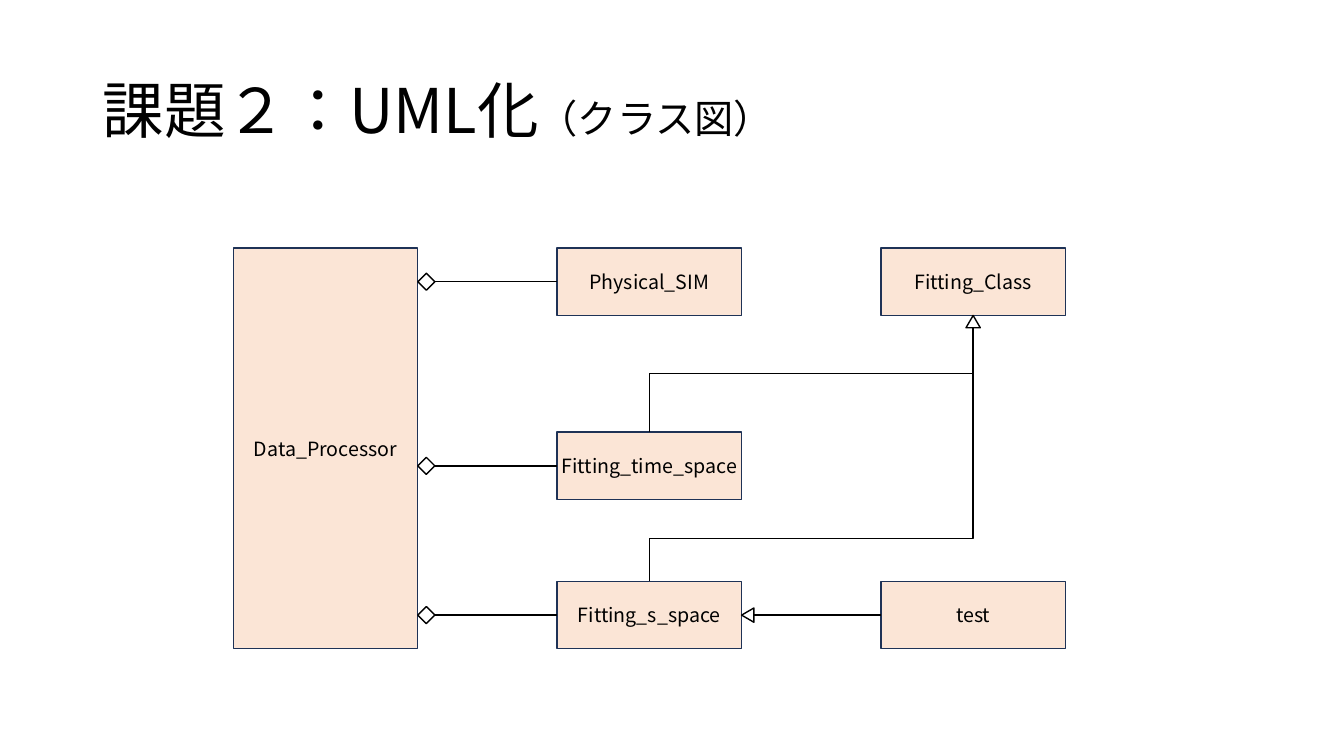
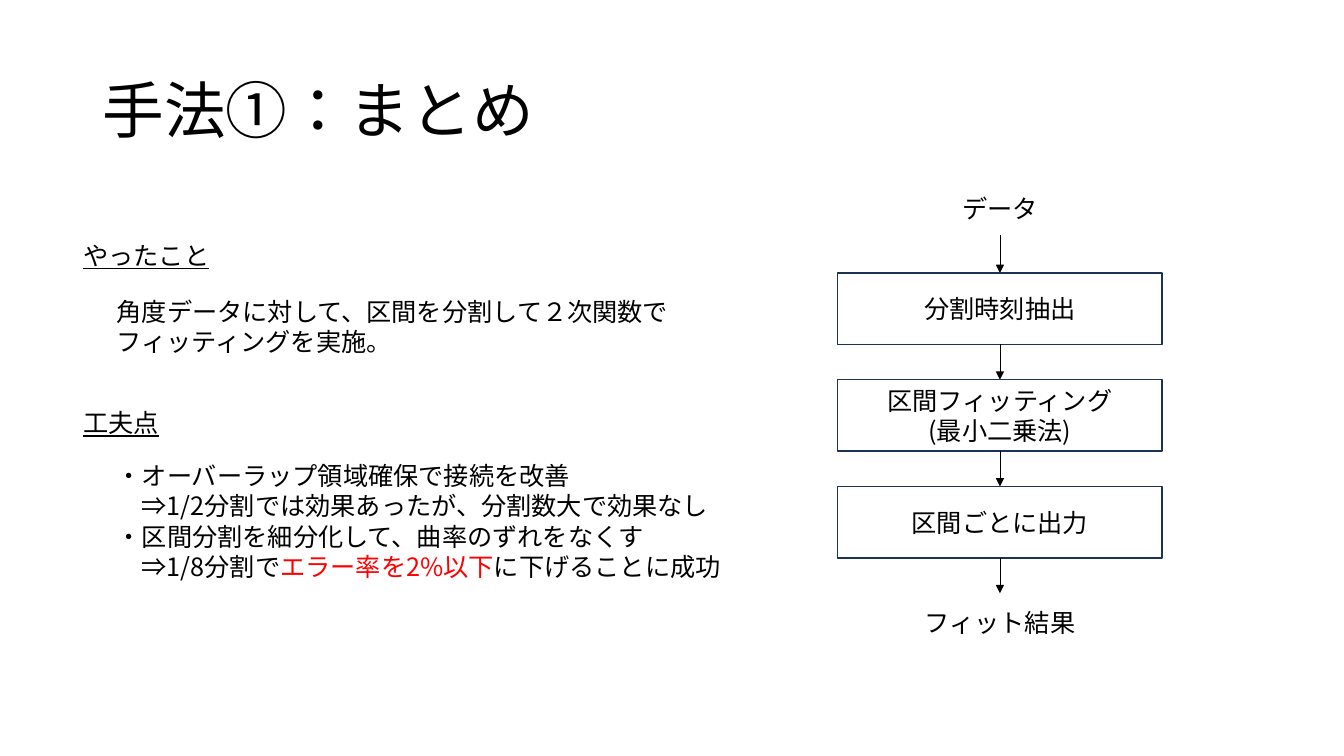
from pptx import Presentation
from pptx.dml.color import RGBColor
from pptx.enum.lang import MSO_LANGUAGE_ID
from pptx.enum.shapes import MSO_CONNECTOR, MSO_SHAPE
from pptx.enum.text import MSO_ANCHOR, MSO_AUTO_SIZE, PP_ALIGN
from pptx.oxml.ns import qn
from pptx.util import Cm, Pt
from lxml import etree

RECT, DIAMOND, TRIANGLE = MSO_SHAPE.RECTANGLE, MSO_SHAPE.DIAMOND, MSO_SHAPE.ISOSCELES_TRIANGLE
STRAIGHT, ELBOW = MSO_CONNECTOR.STRAIGHT, MSO_CONNECTOR.ELBOW
LEFT, CENTER = PP_ALIGN.LEFT, PP_ALIGN.CENTER
MIDDLE, TOP = MSO_ANCHOR.MIDDLE, MSO_ANCHOR.TOP
NO_AUTOFIT = MSO_AUTO_SIZE.NONE
JAPANESE = MSO_LANGUAGE_ID.JAPANESE

FONT = "Noto Sans CJK JP"
COLORS = {"text": "000000", "white": "FFFFFF", "peach": "FBE5D6",
          "border": "1E3256", "accent": "FF0000"}
TITLE_BOX = (2.33, 1.02, 29.21, 3.68)
TITLE_ONLY = 5


def rgb(name):
    return RGBColor.from_string(COLORS[name])


def style_paragraph(p, size, align=LEFT, underline=None):
    p.alignment = align
    p.font.size = Pt(size)
    p.font.name = FONT
    p.font.color.rgb = rgb("text")
    p.font.underline = underline
    p.font.language_id = JAPANESE
    latin = p._p.pPr.find(qn("a:defRPr")).find(qn("a:latin"))
    ea = etree.Element(qn("a:ea"), typeface=FONT)
    latin.addnext(ea)


def add_run(p, text):
    r = p.add_run()
    r.text = text
    r.font.language_id = JAPANESE
    return r


def set_indent(p, left, hanging):
    """Indent the paragraph; a hanging one starts its first line at the margin."""
    pPr = p._p.get_or_add_pPr()
    pPr.set("marL", str(Cm(left)))
    pPr.set("indent", str(-Cm(left) if hanging else 0))


def add_title(prs, text, small=""):
    """Add a slide with its title and an optional smaller ending."""
    s = prs.slides.add_slide(prs.slide_layouts[TITLE_ONLY])
    title = s.shapes.title
    title.left, title.top, title.width, title.height = map(Cm, TITLE_BOX)
    tf = title.text_frame
    tf.auto_size = NO_AUTOFIT
    tf.vertical_anchor = MIDDLE
    p = tf.paragraphs[0]
    p.line_spacing = 0.9
    style_paragraph(p, 44)
    add_run(p, text)
    if small:
        add_run(p, small).font.size = Pt(28)
    return s


def add_shape(s, kind, x, y, w, h, fill="white", line="text"):
    sp = s.shapes.add_shape(kind, Cm(x), Cm(y), Cm(w), Cm(h))
    sp.shadow.inherit = False
    sp.fill.solid()
    sp.fill.fore_color.rgb = rgb(fill)
    sp.line.color.rgb = rgb(line)
    sp.line.width = Pt(1)
    return sp


def add_box(s, x, y, w, h, lines, size, fill="white", wrap=True):
    sp = add_shape(s, RECT, x, y, w, h, fill, "border")
    tf = sp.text_frame
    tf.word_wrap = wrap
    tf.vertical_anchor = MIDDLE
    tf.text = lines
    for p in tf.paragraphs:
        style_paragraph(p, size, CENTER)


def add_text(s, x, y, w, h, text, align=LEFT, underline=None):
    tf = s.shapes.add_textbox(Cm(x), Cm(y), Cm(w), Cm(h)).text_frame
    tf.word_wrap = True
    tf.vertical_anchor = TOP
    p = tf.paragraphs[0]
    style_paragraph(p, 18, align, underline)
    add_run(p, text)


def add_line(s, x1, y1, x2, y2, width=1, kind=STRAIGHT, arrow=False):
    c = s.shapes.add_connector(kind, Cm(x1), Cm(y1), Cm(x2), Cm(y2))
    c.line.color.rgb = rgb("text")
    c.line.width = Pt(width)
    if arrow:
        etree.SubElement(c.line._get_or_add_ln(), qn("a:tailEnd"), type="triangle")
    etree.SubElement(c._element.spPr, qn("a:effectLst"))
    return c


def add_vertical_elbow(s, x1, y1, x2, y2, bend):
    """Elbow that leaves downwards and turns at the fraction bend of its height."""
    cx, cy = (x1 + x2) / 2, (y1 + y2) / 2
    half_w, half_h = (x1 - x2) / 2, (y2 - y1) / 2
    c = add_line(s, cx - half_h, cy - half_w, cx + half_h, cy + half_w, kind=ELBOW)
    spPr = c._element.spPr
    spPr.find(qn("a:xfrm")).set("rot", str(90 * 60000))
    geom = spPr.find(qn("a:prstGeom"))
    av = geom.find(qn("a:avLst"))
    if av is None:
        av = etree.SubElement(geom, qn("a:avLst"))
    etree.SubElement(av, qn("a:gd"), name="adj1", fmla=f"val {round(bend * 100000)}")


def class_diagram(s, x, y):
    box_w, box_h, step = 4.65, 1.7, 8.16
    col = [x + i * step for i in range(3)]
    row = [y, y + 4.64, y + 8.4]
    classes = [
        ("Data_Processor", 0, 0, row[2] + box_h - y),
        ("Physical_SIM", 1, 0, box_h),
        ("Fitting_Class", 2, 0, box_h),
        ("Fitting_time_space", 1, 1, box_h),
        ("Fitting_s_space", 1, 2, box_h),
        ("test", 2, 2, box_h),
    ]
    for name, c, r, h in classes:
        add_box(s, col[c], row[r], box_w, h, name, 14, "peach", wrap=False)

    # Inheritance
    tri_w, tri_h = 0.36, 0.31
    base_x, base_y = col[2] + box_w / 2, y + box_h
    for r, bend in ((1, 0.5), (2, 0.84)):
        add_vertical_elbow(s, base_x, base_y, col[1] + box_w / 2, row[r], bend)
    add_shape(s, TRIANGLE, base_x - tri_w / 2, base_y, tri_w, tri_h)
    right, mid = col[1] + box_w, row[2] + box_h / 2
    add_line(s, right, mid, col[2], mid)
    tip = add_shape(s, TRIANGLE, right + (tri_h - tri_w) / 2, mid - tri_h / 2, tri_w, tri_h)
    tip.rotation = 270

    # Aggregation
    dia, edge = 0.43, col[0] + box_w
    for top in row:
        mid = top + box_h / 2
        add_line(s, edge, mid, col[1], mid)
        add_shape(s, DIAMOND, edge, mid - dia / 2, dia, dia)


def flow_chart(s, x, y, steps, source, result):
    w, h, gap, label_w, label_h = 8.18, 1.8, 0.89, 7.7, 1.02
    cx = x + w / 2
    first = y + 2.13
    add_text(s, cx - label_w / 2, y, label_w, label_h, source, CENTER)
    add_line(s, cx, first - 0.96, cx, first, 0.5, arrow=True)
    for i, step in enumerate(steps):
        top = first + i * (h + gap)
        add_box(s, x, top, w, h, step, 18)
        add_line(s, cx, top + h, cx, top + h + gap, 0.5, arrow=True)
    end = first + len(steps) * (h + gap)
    add_text(s, cx - label_w / 2, end + 0.24, label_w, label_h, result, CENTER)


def summary_text(s, x, y):
    indent = 0.84
    add_text(s, x, y, 5.77, 1.02, "やったこと", underline=True)
    add_text(s, x + indent, y + 1.42, 14.88, 1.8,
             "角度データに対して、区間を分割して２次関数でフィッティングを実施。")
    add_text(s, x, y + 4.21, 5.77, 1.02, "工夫点", underline=True)
    points = [
        [("・オーバーラップ領域確保で接続を改善", None)],
        [("⇒1/2分割では効果あったが、分割数大で効果なし", None)],
        [("・区間分割を細分化して、曲率のずれをなくす", None)],
        [("⇒1/8分割で", None), ("エラー率を2%以下", "accent"),
         ("に下げることに成功", None)],
    ]
    tf = s.shapes.add_textbox(Cm(x + indent), Cm(y + 5.56), Cm(17.02), Cm(3.33)).text_frame
    tf.word_wrap = True
    for i, runs in enumerate(points):
        p = tf.add_paragraph() if i else tf.paragraphs[0]
        set_indent(p, 0.63, hanging=runs[0][0].startswith("・"))
        style_paragraph(p, 18)
        for text, color in runs:
            r = add_run(p, text)
            if color:
                r.font.color.rgb = rgb(color)


def main():
    prs = Presentation()
    prs.slide_width, prs.slide_height = Cm(33.87), Cm(19.05)

    s = add_title(prs, "課題２：UML化", "（クラス図）")
    class_diagram(s, 5.88, 6.25)

    s = add_title(prs, "手法①：まとめ")
    flow_chart(s, 21.11, 4.75,
               ["分割時刻抽出", "区間フィッティング\n(最小二乗法)", "区間ごとに出力"],
               "データ", "フィット結果")
    summary_text(s, 1.85, 5.92)

    prs.save("out.pptx")


if __name__ == "__main__":
    main()
